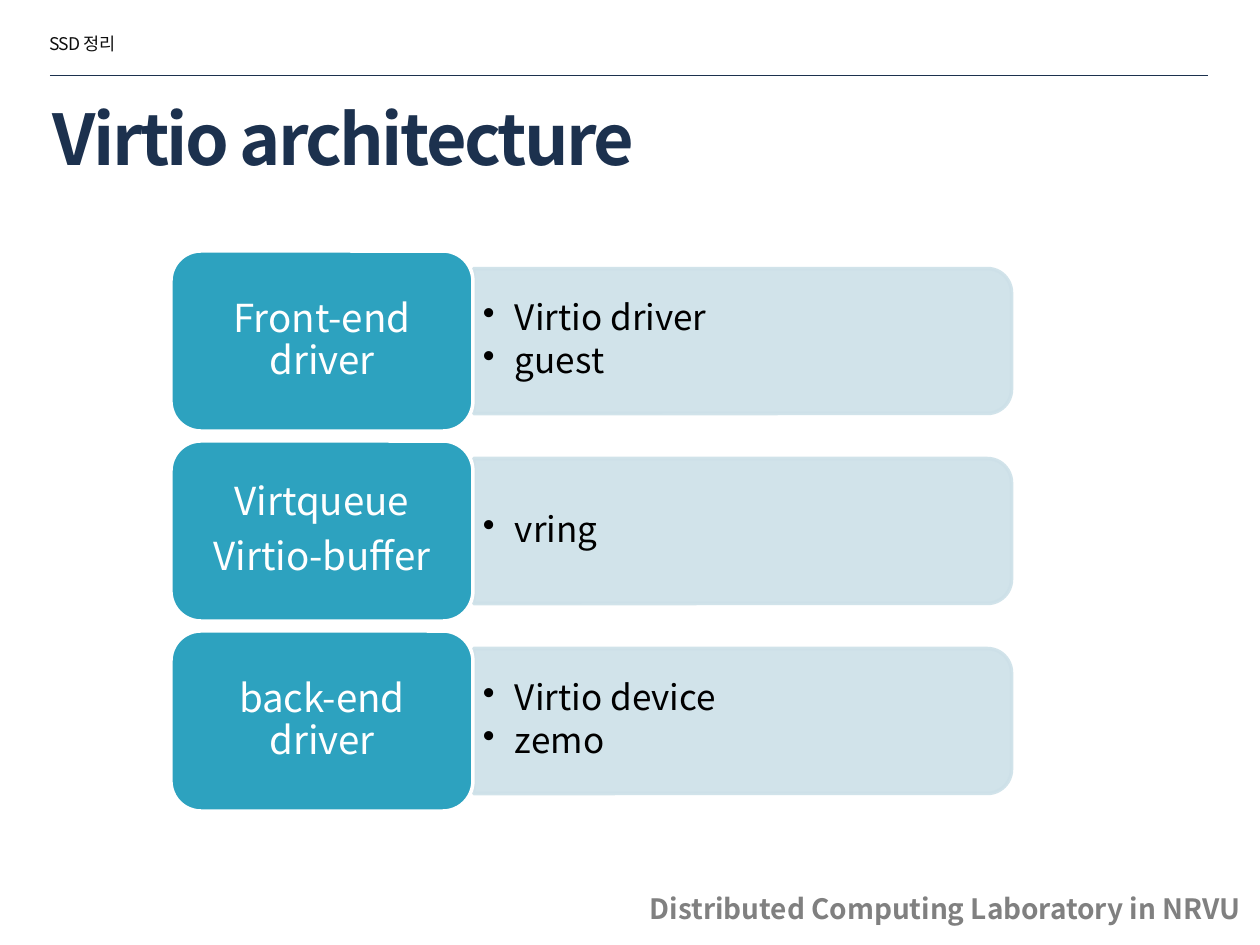
from dataclasses import dataclass

from lxml import etree
from pptx import Presentation
from pptx.dml.color import RGBColor
from pptx.enum.shapes import MSO_CONNECTOR, MSO_SHAPE
from pptx.enum.text import MSO_ANCHOR, PP_ALIGN
from pptx.oxml.ns import qn
from pptx.util import Pt

STRAIGHT = MSO_CONNECTOR.STRAIGHT
ROUNDED = MSO_SHAPE.ROUNDED_RECTANGLE
ROUNDED_TOP = MSO_SHAPE.ROUND_2_SAME_RECTANGLE
TOP, MIDDLE = MSO_ANCHOR.TOP, MSO_ANCHOR.MIDDLE
LEFT, CENTER = PP_ALIGN.LEFT, PP_ALIGN.CENTER

EMU_PER_PX = 914400 / 126


def px(length: int) -> int:
    return round(length * EMU_PER_PX)


@dataclass(frozen=True)
class Theme:
    font: str = "Noto Sans CJK KR"
    navy: str = "1C314E"
    teal: str = "2DA2BF"
    pale: str = "CDE0E8"
    white: str = "FFFFFF"
    black: str = "000000"
    ink: str = "0D0D0D"
    gray: str = "808080"
    header_size: int = 10
    title_size: int = 40
    footer_size: int = 16
    label_size: int = 22
    bullet_size: int = 20
    outline: int = 2
    rule: float = 0.25
    panel_alpha: int = 90


@dataclass(frozen=True)
class Box:
    left: int
    top: int
    width: int
    height: int

    def emu(self) -> tuple[int, ...]:
        return tuple(px(n) for n in (self.left, self.top, self.width, self.height))

    def inset(self, margin: int) -> "Box":
        return Box(self.left + margin, self.top + margin,
                   self.width - 2 * margin, self.height - 2 * margin)


@dataclass(frozen=True)
class Layer:
    labels: tuple[str, ...]
    details: tuple[str, ...]


THEME = Theme()
LAYERS = (
    Layer(("Front-end driver",), ("Virtio driver", "guest")),
    Layer(("Virtqueue", "Virtio-buffer"), ("vring",)),
    Layer(("back-end driver",), ("Virtio device", "zemo")),
)
FIRST_TOP, PITCH = 251, 190
CARD_LEFT, CARD_WIDTH, CARD_HEIGHT = 171, 302, 180
PANEL_WIDTH, PANEL_HEIGHT = 538, 145
DETAIL_WIDTH, DETAIL_HEIGHT = 530, 130
BULLET_INDENT = 32


def add_bullet(paragraph) -> None:
    properties = paragraph._p.get_or_add_pPr()
    properties.set("marL", str(px(BULLET_INDENT)))
    properties.set("indent", str(-px(BULLET_INDENT)))
    etree.SubElement(properties, qn("a:buChar")).set("char", "•")


def add_text(slide, box: Box, lines: tuple[str, ...], *, size: int, color: str,
             bold: bool = False, align=LEFT, anchor=TOP, spacing: int = 0,
             margins: tuple[int, int] = (13, 6), line_spacing: float = 1.0,
             space_after: float = 0, bullets: bool = False) -> None:
    """Add a text box; spacing is in hundredths of a point."""
    frame = slide.shapes.add_textbox(*box.emu()).text_frame
    frame.word_wrap = True
    frame.vertical_anchor = anchor
    frame.margin_left = frame.margin_right = px(margins[0])
    frame.margin_top = frame.margin_bottom = px(margins[1])
    for index, line in enumerate(lines):
        paragraph = frame.add_paragraph() if index else frame.paragraphs[0]
        paragraph.alignment = align
        paragraph.line_spacing = line_spacing
        paragraph.space_after = Pt(space_after)
        if bullets:
            add_bullet(paragraph)
        run = paragraph.add_run()
        run.text = line
        run.font.size = Pt(size)
        run.font.bold = bold
        run.font.name = THEME.font
        run.font.color.rgb = RGBColor.from_string(color)
        properties = run.font._element
        if spacing:
            properties.set("spc", str(spacing))
        east_asian = etree.Element(qn("a:ea"), typeface=THEME.font)
        properties.find(qn("a:latin")).addnext(east_asian)


def add_block(slide, kind, box: Box, fill: str, line: str, alpha: int = 100):
    shape = slide.shapes.add_shape(kind, *box.emu())
    shape.shadow.inherit = False
    shape.fill.solid()
    shape.fill.fore_color.rgb = RGBColor.from_string(fill)
    shape.line.color.rgb = RGBColor.from_string(line)
    shape.line.width = Pt(THEME.outline)
    if alpha < 100:
        for color in shape._element.spPr.iter(qn("a:srgbClr")):
            etree.SubElement(color, qn("a:alpha")).set("val", str(alpha * 1000))
    return shape


def add_rule(slide, left: int, right: int, top: int) -> None:
    rule = slide.shapes.add_connector(STRAIGHT, px(left), px(top), px(right), px(top))
    rule.line.color.rgb = RGBColor.from_string(THEME.navy)
    rule.line.width = Pt(THEME.rule)
    etree.SubElement(rule._element.spPr, qn("a:effectLst"))


def add_layer(slide, layer: Layer, top: int) -> None:
    card = Box(CARD_LEFT, top, CARD_WIDTH, CARD_HEIGHT)
    card_right = card.left + card.width
    middle = top + card.height // 2

    # Detail panel: an upright shape turned so its round corners face right
    center = card_right + PANEL_WIDTH // 2
    upright = Box(center - PANEL_HEIGHT // 2, middle - PANEL_WIDTH // 2,
                  PANEL_HEIGHT, PANEL_WIDTH)
    panel = add_block(slide, ROUNDED_TOP, upright, THEME.pale, THEME.pale,
                      THEME.panel_alpha)
    panel.rotation = 90
    details = Box(card_right, middle - DETAIL_HEIGHT // 2, DETAIL_WIDTH, DETAIL_HEIGHT)
    add_text(slide, details, layer.details, size=THEME.bullet_size,
             color=THEME.black, anchor=MIDDLE, margins=(10, 5),
             line_spacing=0.9, space_after=3, bullets=True)

    # Name card
    add_block(slide, ROUNDED, card, THEME.teal, THEME.white)
    add_text(slide, card.inset(9), layer.labels, size=THEME.label_size,
             color=THEME.white, align=CENTER, anchor=MIDDLE, margins=(11, 6),
             line_spacing=0.9, space_after=7.7)


def main() -> None:
    presentation = Presentation()
    presentation.slide_width, presentation.slide_height = px(1260), px(945)
    slide = presentation.slides.add_slide(presentation.slide_layouts[6])

    # Header and title
    add_text(slide, Box(36, 27, 369, 34), ("SSD 정리",), size=THEME.header_size,
             color=THEME.ink, spacing=-30)
    add_rule(slide, 50, 1208, 75)
    add_text(slide, Box(40, 97, 1200, 81), ("Virtio architecture",),
             size=THEME.title_size, color=THEME.navy, bold=True,
             anchor=MIDDLE, spacing=-150)

    # Footer
    add_text(slide, Box(637, 886, 669, 52),
             ("Distributed Computing Laboratory in NRVU",),
             size=THEME.footer_size, color=THEME.gray, bold=True)

    # Architecture layers
    for index, layer in enumerate(LAYERS):
        add_layer(slide, layer, FIRST_TOP + index * PITCH)

    presentation.save("out.pptx")


if __name__ == "__main__":
    main()
